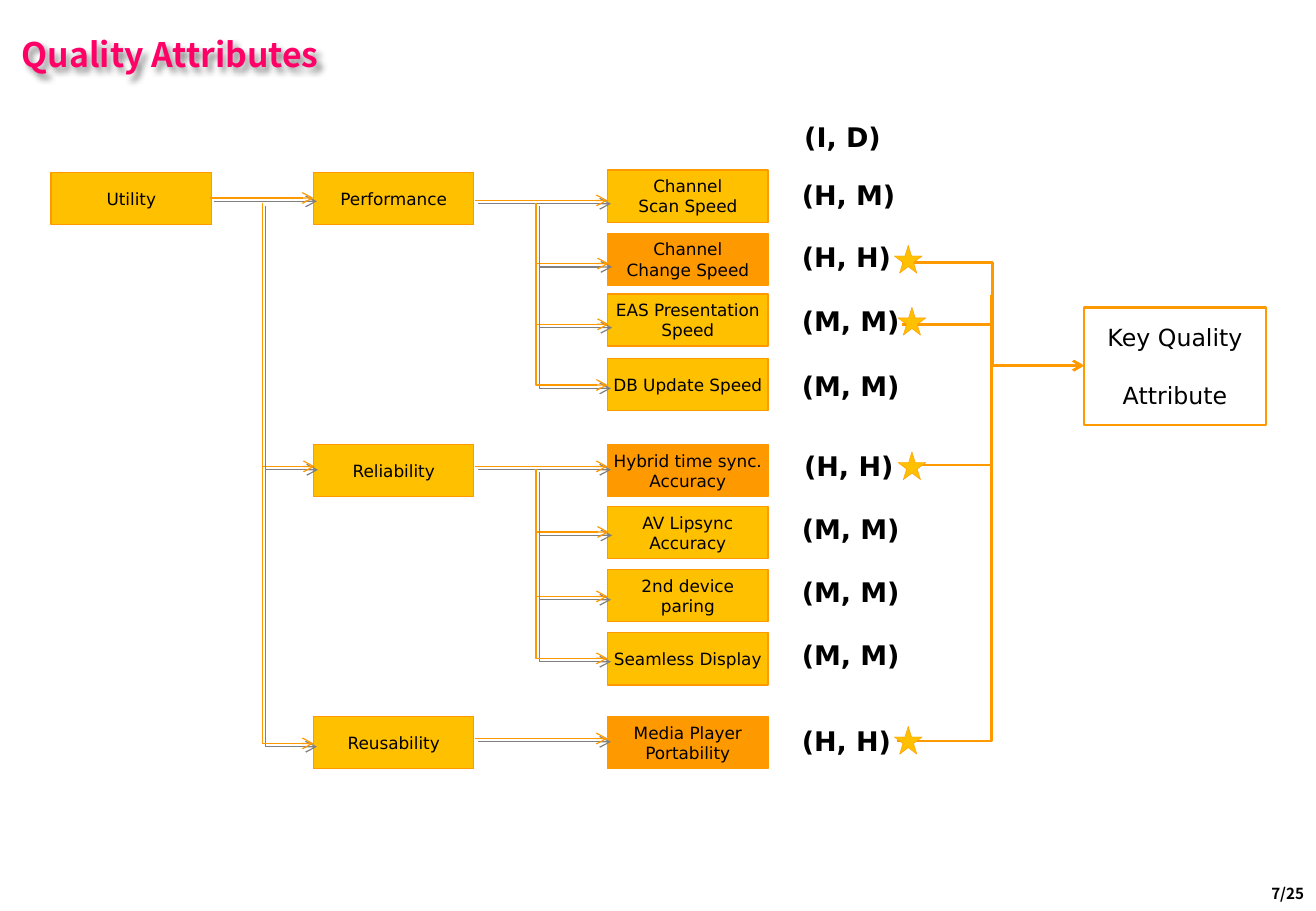
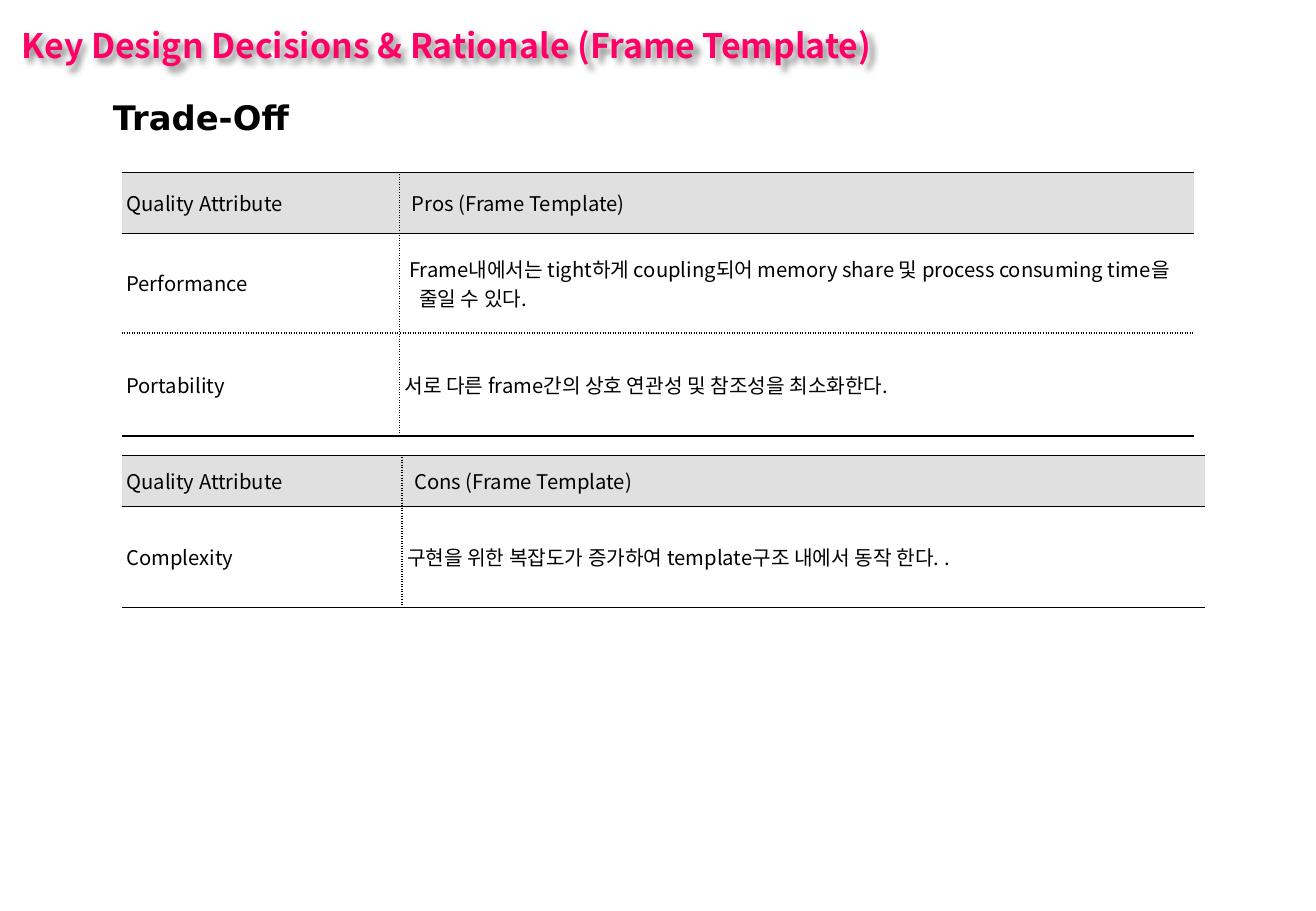
from dataclasses import dataclass

from lxml.etree import SubElement as Sub
from pptx import Presentation
from pptx.dml.color import RGBColor as RGB
from pptx.enum.shapes import MSO_CONNECTOR as LINK, MSO_SHAPE as SHAPE
from pptx.enum.text import MSO_ANCHOR as ANCHOR, MSO_AUTO_SIZE as FIT, PP_ALIGN as ALIGN
from pptx.oxml.ns import qn
from pptx.util import Inches, Pt


@dataclass(frozen=True)
class Theme:
    pink: str = "FF0066"
    gold: str = "FFC000"
    amber: str = "FF9900"
    gray: str = "808080"
    pale: str = "E0E0E0"
    white: str = "FFFFFF"
    black: str = "000000"
    sans: str = "DejaVu Sans"
    noto: str = "Noto Sans CJK KR"
    head: int = 20
    score: int = 16
    key: int = 14
    cell: int = 12
    node: int = 10
    page: int = 9


T = Theme()

# Leaf: lines, top, strong fill, score, score left, score top
LEAVES = [
    ("Channel\nScan Speed", 1.4, False, "(H, M)", 6.5, 1.42),
    ("Channel\nChange Speed", 1.92, True, "(H, H)", 6.5, 1.93),
    ("EAS Presentation\nSpeed", 2.42, False, "(M, M)", 6.5, 2.46),
    ("DB Update Speed", 2.95, False, "(M, M)", 6.5, 2.99),
    ("Hybrid time sync.\nAccuracy", 3.66, True, "(H, H)", 6.52, 3.65),
    ("AV Lipsync\nAccuracy", 4.17, False, "(M, M)", 6.5, 4.17),
    ("2nd device\nparing", 4.69, False, "(M, M)", 6.5, 4.69),
    ("Seamless Display", 5.21, False, "(M, M)", 6.5, 5.21),
    ("Media Player\nPortability", 5.9, True, "(H, H)", 6.5, 5.92),
]
STEMS = [("Utility", 0.42, 1.42), ("Performance", 2.58, 1.42),
         ("Reliability", 2.58, 3.66), ("Reusability", 2.58, 5.9)]
# Straight arrow: left, right, height on the slide
ARROWS = [
    (1.73, 2.58, 1.63), (2.16, 2.59, 3.84),
    (3.91, 5, 1.65), (4.41, 5.01, 2.17), (4.41, 5.01, 2.67),
    (3.91, 5, 3.84), (4.41, 5.01, 4.38), (3.91, 5, 6.08),
]
# Drop arrow: trunk, top, right, bottom
DROPS = [(2.16, 1.67, 2.58, 6.12), (4.41, 1.67, 5, 3.17),
         (4.41, 3.86, 5, 4.91), (4.41, 4.37, 5, 5.42)]
STARS = [(7.36, 2.02), (7.39, 2.53), (7.39, 3.72), (7.36, 5.98)]

PROS = [
    ("Quality Attribute", "Pros (Frame Template)"),
    ("Performance", " Frame내에서는 tight하게 coupling되어 memory share 및 "
                    "process consuming time을 줄일 수 있다."),
    ("Portability", "서로 다른 frame간의 상호 연관성 및 참조성을 최소화한다."),
]
CONS = [
    ("Quality Attribute", "Cons (Frame Template)"),
    ("Complexity", "구현을 위한 복잡도가 증가하여 template구조 내에서 동작 한다. ."),
]


def write(frame, text, size, face=T.sans, color=T.black, bold=False, align=ALIGN.LEFT):
    frame.text = text
    for para in frame.paragraphs:
        para.alignment = align
        for run in para.runs:
            font = run.font
            font.name, font.size, font.bold = face, Pt(size), bold
            font.color.rgb = RGB.from_string(color)
            ea = Sub(font._element, qn("a:ea"))
            ea.set("typeface", face)


def shade(shape, color=None, blur=0, dist=0.0, alpha=100):
    """Set an outer shadow towards the lower right; without a color, none."""
    fx = Sub(shape._element.spPr, qn("a:effectLst"))
    if color:
        outer = Sub(fx, qn("a:outerShdw"), blurRad=str(Pt(blur)), dist=str(Pt(dist)),
                    dir="2700000", algn="ctr", rotWithShape="0")
        tone = Sub(outer, qn("a:srgbClr"), val=color)
        Sub(tone, qn("a:alpha"), val=str(alpha * 1000))


def label(slide, box, text, size, wrap=False, **style):
    frame = slide.shapes.add_textbox(*map(Inches, box)).text_frame
    write(frame, text, size, **style)
    frame.word_wrap = wrap
    return frame


def start(deck, text, top, width):
    """Add a slide with the shared title style."""
    slide = deck.slides.add_slide(deck.slide_layouts[5])
    title = slide.shapes.title
    title.left, title.top, title.width, title.height = map(Inches, (0.08, top, width, 0.44))
    frame = title.text_frame
    write(frame, text, T.head, T.noto, T.pink, True)
    frame.auto_size, frame.vertical_anchor = FIT.NONE, ANCHOR.TOP
    shade(title, T.black, 3, 3, 43)
    return slide


def block(slide, box, fill, line=0.75, kind=SHAPE.RECTANGLE):
    shape = slide.shapes.add_shape(kind, *map(Inches, box))
    shape.shadow.inherit = False
    shape.fill.solid()
    shape.fill.fore_color.rgb = RGB.from_string(fill)
    shape.line.color.rgb = RGB.from_string(T.amber)
    shape.line.width = Pt(line)
    return shape


def node(slide, left, top, text, fill=T.gold):
    frame = block(slide, (left, top, 1.32, 0.43), fill).text_frame
    write(frame, text, T.node, align=ALIGN.CENTER)
    frame.word_wrap, frame.vertical_anchor = False, ANCHOR.MIDDLE


def link(slide, ends, kind=LINK.STRAIGHT, width=0.75, arrow=True, shadow=False):
    wire = slide.shapes.add_connector(kind, *map(Inches, ends))
    wire.line.color.rgb = RGB.from_string(T.amber)
    wire.line.width = Pt(width)
    if arrow:
        Sub(wire.line._get_or_add_ln(), qn("a:tailEnd"), type="arrow")
    shade(wire, T.gray if shadow else None, dist=2.8)
    return wire


def corner(wire):
    """Give an elbow a single bend."""
    wire._element.spPr.find(qn("a:prstGeom")).set("prst", "bentConnector2")


def drop(slide, x, y, right, low):
    """Arrow that runs down first, then right."""
    wire = link(slide, (x, y, right, low), LINK.ELBOW, shadow=True)
    corner(wire)
    wide, high = low - y, right - x
    wire.left, wire.top = Inches((x + right - wide) / 2), Inches((y + low - high) / 2)
    wire.width, wire.height = Inches(wide), Inches(high)
    frame = wire._element.spPr.find(qn("a:xfrm"))
    frame.set("rot", "16200000")
    frame.set("flipH", "1")


def tree(slide):
    for text, left, top in STEMS:
        node(slide, left, top, text)
    for text, top, strong, score, left, high in LEAVES:
        node(slide, 5, top, text, T.amber if strong else T.gold)
        label(slide, (left, high, 1.03, 0.37), score, T.score, bold=True)
    label(slide, (6.52, 0.94, 0.91, 0.37), "(I, D)", T.score, bold=True)
    for left, right, y in ARROWS:
        link(slide, (left, y, right, y), shadow=True)
    for ends in DROPS:
        drop(slide, *ends)


def target(slide, left, top):
    """Key attribute box, with the lines that lead to it from the stars."""
    frame = block(slide, (left, top, 1.5, 0.97), T.white, 1.5).text_frame
    write(frame, "Key Quality\nAttribute", T.key, align=ALIGN.CENTER)
    frame.margin_left = frame.margin_right = 0
    frame.vertical_anchor = ANCHOR.MIDDLE
    frame.paragraphs[1].space_before = Pt(17.5)
    for y in (2.67, 2.16):
        link(slide, (left - 1.5, y, left, top + 0.48), LINK.ELBOW, 1.5)
    for x, y, end in ((7.38, 6.1, 3.11), (7.5, 3.83, 2.43)):
        corner(link(slide, (x, y, left - 0.76, end), LINK.ELBOW, 1.5, arrow=False))
    for x, y in STARS:
        block(slide, (x, y, 0.23, 0.23), T.gold, 0.25, SHAPE.STAR_5_POINT)


def edge(cell, sides):
    """Draw cell borders; sides maps L, R, T, B to a dash, or to None for no line."""
    props = cell._tc.get_or_add_tcPr()
    for spot, side in enumerate("LRTB"):
        line = Sub(props, qn("a:ln" + side), w=str(Pt(1)))
        props.insert(spot, line)
        dash = sides[side]
        if dash:
            fill = Sub(line, qn("a:solidFill"))
            Sub(fill, qn("a:srgbClr"), val=T.black)
            Sub(line, qn("a:prstDash"), val=dash)
        else:
            Sub(line, qn("a:noFill"))


def grid(slide, left, top, cols, highs, rows):
    size = (left, top, sum(cols), sum(highs))
    table = slide.shapes.add_table(len(rows), len(cols), *map(Inches, size)).table
    table.first_row = table.horz_banding = False
    for col, wide in zip(table.columns, cols):
        col.width = Inches(wide)
    last = len(rows) - 1
    for r, (row, high) in enumerate(zip(rows, highs)):
        table.rows[r].height = Inches(high)
        for c, text in enumerate(row):
            cell = table.cell(r, c)
            cell.margin_left = cell.margin_right = 0
            cell.margin_top = cell.margin_bottom = Inches(0.02)
            cell.vertical_anchor = ANCHOR.MIDDLE
            if r:
                cell.fill.background()
            else:
                cell.fill.solid()
                cell.fill.fore_color.rgb = RGB.from_string(T.pale)
            write(cell.text_frame, text, T.cell, T.noto)
            body = r > 0 and c > 0
            para = cell.text_frame.paragraphs[0]
            para.space_before = para.space_after = Pt(5 if body else 1.8)
            props = para._p.get_or_add_pPr()
            props.set("marL", str(Inches(0.16 if body else 0.04)))
            props.set("indent", str(Inches(-0.12 if body else 0.06 * c)))
            edge(cell, {"L": "sysDot" if c else None, "R": None if c else "sysDot",
                        "T": "sysDot" if r > 1 else "solid",
                        "B": "sysDot" if 0 < r < last else "solid"})


def main():
    deck = Presentation()
    deck.slide_width, deck.slide_height = Inches(10.83), Inches(7.5)

    slide = start(deck, "Quality Attributes", 0.23, 10.58)
    tree(slide)
    target(slide, 8.92, 2.53)
    label(slide, (8.3, 7.23, 2.53, 0.25), "7/25", T.page, True,
          face=T.noto, bold=True, align=ALIGN.RIGHT)

    slide = start(deck, "Key Design Decisions & Rationale (Frame Template)", 0.15, 10.5)
    label(slide, (0.83, 0.75, 1.71, 0.44), "Trade-Off", T.head, bold=True)
    grid(slide, 1, 1.42, (2.29, 6.54), (0.5, 0.82, 0.85), PROS)
    grid(slide, 1, 3.75, (2.31, 6.61), (0.42, 0.83), CONS)
    deck.save("out.pptx")


if __name__ == "__main__":
    main()
